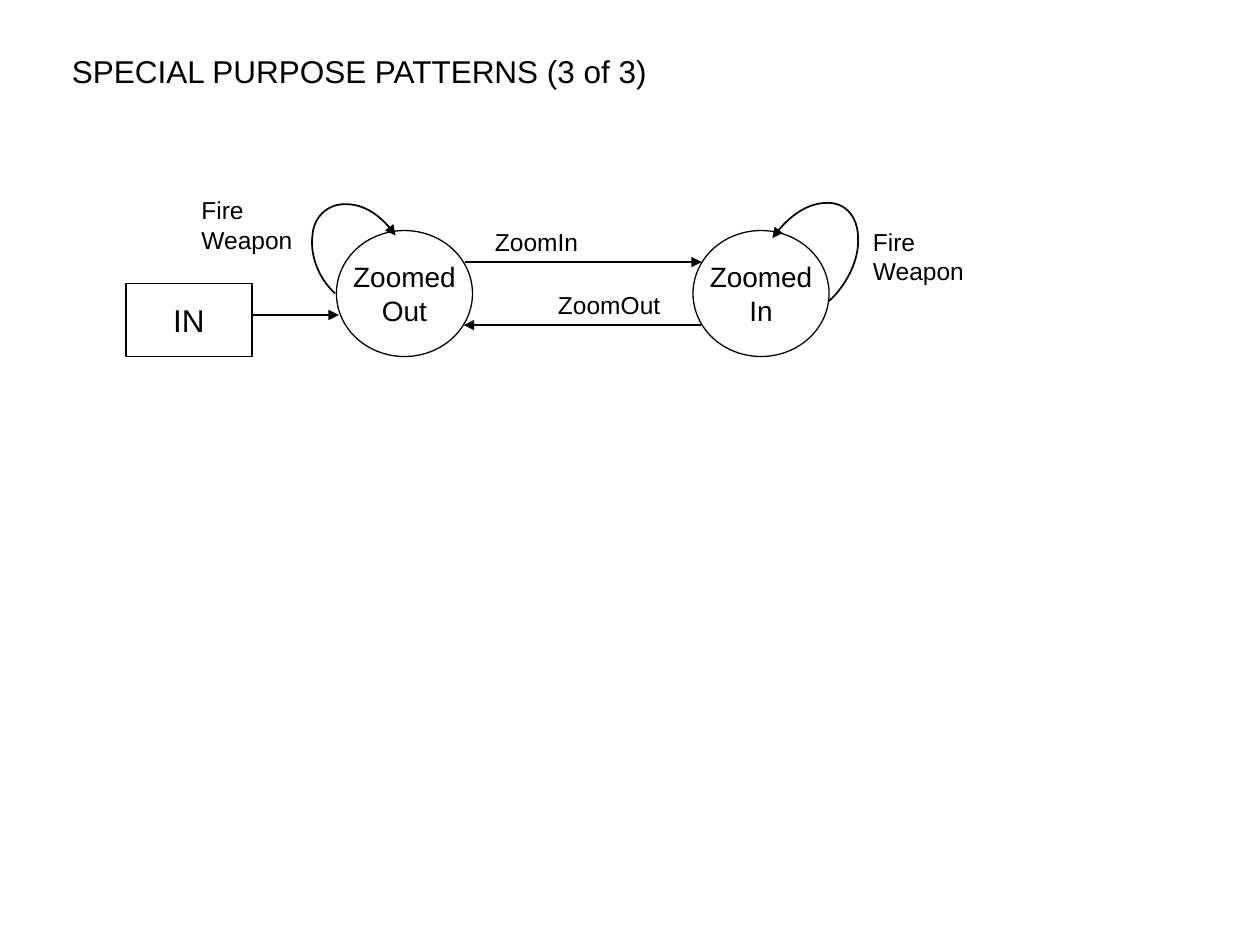
from lxml.etree import SubElement
from pptx import Presentation
from pptx.dml.color import RGBColor
from pptx.enum.shapes import MSO_CONNECTOR, MSO_SHAPE
from pptx.enum.text import MSO_ANCHOR, MSO_AUTO_SIZE, PP_ALIGN
from pptx.oxml.ns import qn
from pptx.util import Inches, Pt

# Content: lengths in inches
FONT, INK = "Arial", "000000"
TITLE = ("SPECIAL PURPOSE PATTERNS (3 of 3)", (0.47, 0.36, 4.81, 0.4))
STATES = [  # text, shape, box, text size
    ("Zoomed\nOut", MSO_SHAPE.OVAL, (2.67, 1.83, 1.08, 1), 16),
    ("Zoomed\nIn", MSO_SHAPE.OVAL, (5.5, 1.83, 1.08, 1), 16),
    ("IN", MSO_SHAPE.RECTANGLE, (1, 2.25, 1, 0.58), 18),
]
ARROWS = [  # start, end
    ((3.69, 2.08), (5.57, 2.08)),
    ((5.56, 2.58), (3.68, 2.58)),
    ((2, 2.5), (2.69, 2.5)),
]
LOOPS = [  # start, then two control points and an end for each curve
    [(6.58, 2.39), (6.73, 2.25), (6.82, 2.05), (6.81, 1.89),
     (6.81, 1.72), (6.71, 1.61), (6.57, 1.61),
     (6.42, 1.61), (6.25, 1.72), (6.13, 1.89)],
    [(2.66, 2.33), (2.53, 2.21), (2.46, 2.03), (2.48, 1.87),
     (2.49, 1.72), (2.6, 1.62), (2.74, 1.62),
     (2.88, 1.62), (3.04, 1.72), (3.14, 1.87)],
]
LABELS = [  # text, box, wrap
    ("Fire\nWeapon", (6.83, 1.75, 1.17, 0.57), True),
    ("Fire\nWeapon", (1.5, 1.5, 0.92, 0.57), False),
    ("ZoomIn", (3.83, 1.75, 0.86, 0.34), False),
    ("ZoomOut", (4.33, 2.25, 1.01, 0.34), False),
]


def color(value):
    return RGBColor.from_string(value)


def inches(values):
    return [Inches(value) for value in values]


def write(shape, text, size, align, anchor, wrap=False):
    frame = shape.text_frame
    frame.text = text
    frame.word_wrap = wrap
    frame.auto_size = MSO_AUTO_SIZE.NONE
    frame.vertical_anchor = anchor
    for para in frame.paragraphs:
        para.alignment = align
        for span in para.runs:
            span.font.name = FONT
            span.font.size = Pt(size)
            span.font.color.rgb = color(INK)


def outline(shape, width, arrow=False):
    shape.line.color.rgb = color(INK)
    shape.line.width = Pt(width)
    if arrow:
        SubElement(shape.line._get_or_add_ln(), qn("a:tailEnd"), type="triangle")


def add_loop(shapes, points):
    corners = [tuple(inches(point)) for point in points]
    builder = shapes.build_freeform(*corners[0])
    builder.add_line_segments(corners[1:], close=False)
    loop = builder.convert_to_shape()
    # Turn every three straight segments into one Bezier curve
    segments = list(loop._element.iter(qn("a:lnTo")))
    outline_path = segments[0].getparent()
    for first in range(0, len(segments), 3):
        curve = SubElement(outline_path, qn("a:cubicBezTo"))
        for segment in segments[first:first + 3]:
            curve.append(segment[0])
            outline_path.remove(segment)
    loop.shadow.inherit = False
    loop.fill.background()
    outline(loop, 1, arrow=True)


deck = Presentation()
deck.slide_width, deck.slide_height = Inches(10), Inches(7.5)
page = deck.slides.add_slide(deck.slide_layouts[5])
shapes = page.shapes

# Title
text, place = TITLE
title = shapes.title
title.left, title.top, title.width, title.height = inches(place)
write(title, text, 18, PP_ALIGN.LEFT, MSO_ANCHOR.TOP)

# States and entry box
for text, kind, place, size in STATES:
    state = shapes.add_shape(kind, *inches(place))
    state.shadow.inherit = False
    state.fill.background()
    outline(state, 0.75)
    write(state, text, size, PP_ALIGN.CENTER, MSO_ANCHOR.MIDDLE)

# Transitions
for start, end in ARROWS:
    arrow = shapes.add_connector(MSO_CONNECTOR.STRAIGHT, *inches(start + end))
    outline(arrow, 0.75, arrow=True)
    SubElement(arrow._element.spPr, qn("a:effectLst"))

for points in LOOPS:
    add_loop(shapes, points)

# Transition labels
for text, place, wrap in LABELS:
    label = shapes.add_textbox(*inches(place))
    write(label, text, 14, PP_ALIGN.LEFT, MSO_ANCHOR.TOP, wrap)

deck.save("out.pptx")
